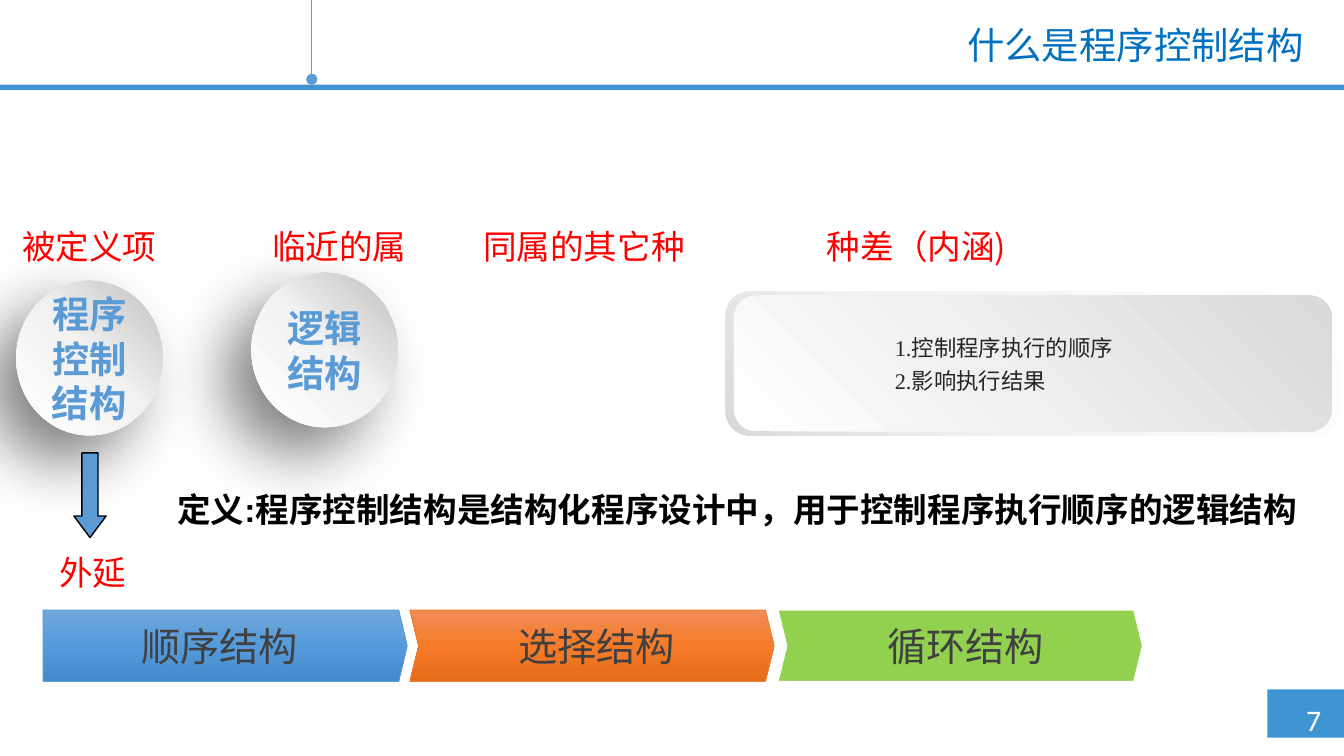
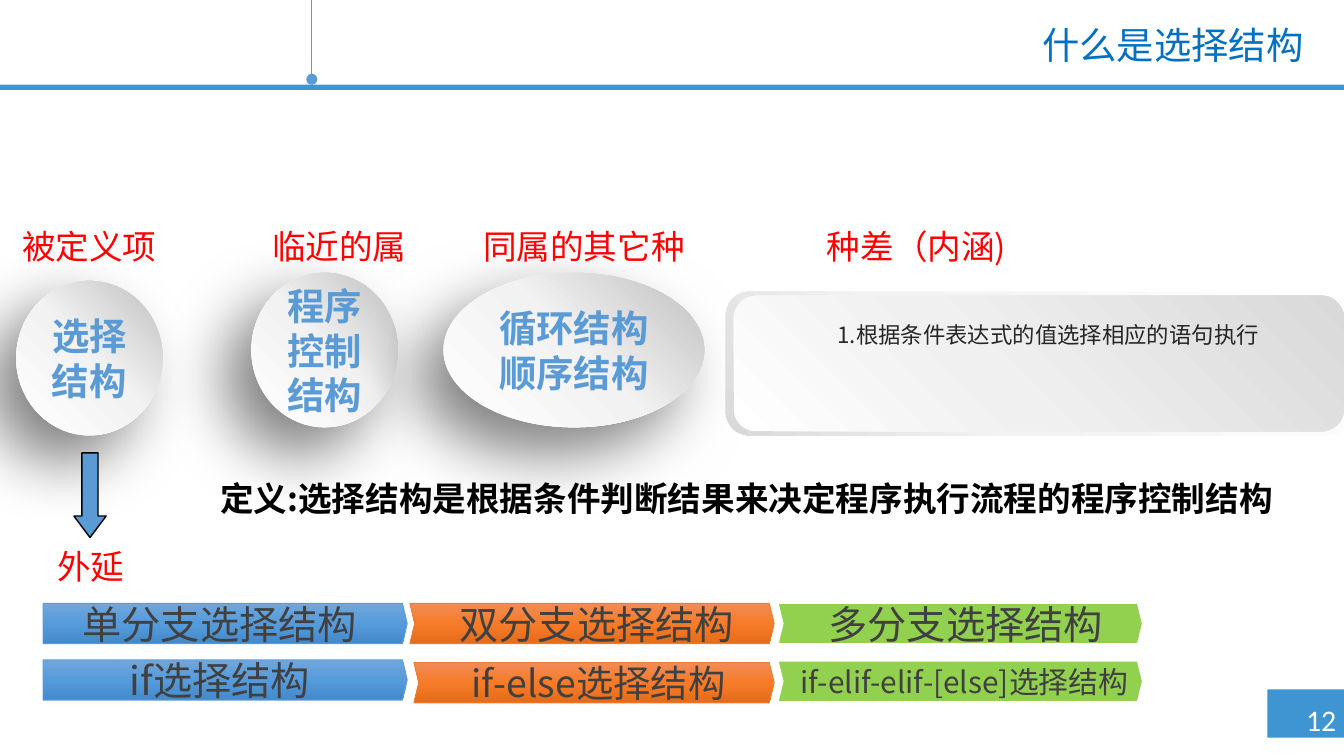
from dataclasses import dataclass

from lxml import etree
from pptx import Presentation
from pptx import util as u
from pptx.dml.color import RGBColor
from pptx.enum import shapes, text
from pptx.oxml import ns

PX = 9144
LEFT, CENTER, RIGHT = text.PP_ALIGN.LEFT, text.PP_ALIGN.CENTER, text.PP_ALIGN.RIGHT
TOP, MIDDLE = text.MSO_ANCHOR.TOP, text.MSO_ANCHOR.MIDDLE
KIND = shapes.MSO_SHAPE


@dataclass(frozen=True)
class Theme:
    band: str = "3F95D2"
    accent: str = "5B9BD5"
    title: str = "0070C0"
    heading: str = "FF0000"
    ink: str = "000000"
    note: str = "262626"
    label: str = "404040"
    paper: str = "FFFFFF"
    orange: str = "ED7D31"
    green: str = "92D050"
    bubble: tuple = ((0, "FFFFFF"), (51, "F2F2F2"), (100, "BFBFBF"))
    card_edge: tuple = ((0, "FFFFFF"), (62, "F2F2F2"), (100, "D9D9D9"))
    card_face: tuple = ((0, "FFFFFF"), (42, "F0F0F0"), (100, "D9D9D9"))
    blue_fade: tuple = ((0, "71A6DB"), (50, "559BDB"), (100, "448ACA"))
    orange_fade: tuple = ((0, "F18C57"), (50, "F67B28"), (100, "E56C19"))
    cjk: str = "Noto Sans CJK SC"
    latin: str = "Calibri"
    title_size: int = 20
    heading_size: int = 18
    bubble_size: int = 20
    note_size: int = 12
    label_size: int = 21
    page_size: int = 16


T = Theme()


@dataclass(frozen=True)
class Stage:
    label: str
    size: int = T.label_size
    nudge: tuple = (0, 0)
    pads: tuple = ()


PLATES = (
    (0, KIND.PENTAGON, 0.119, T.blue_fade, T.accent, (12, 20)),
    (273, KIND.CHEVRON, 0.122, T.orange_fade, T.orange, (31, 24)),
    (547, KIND.CHEVRON, 0.122, T.green, T.paper, (31, 23)),
)
HEADINGS = (("被定义项", -35, 203), ("临近的属", 141, 223),
            ("同属的其它种", 323, 223), ("种差（内涵)", 585, 194))


def px(*lengths):
    return [u.Emu(round(length * PX)) for length in lengths]


def apply(target, **values):
    for name, value in values.items():
        setattr(target, name, value)


def write(frame, lines, size, color, font=T.cjk, bold=False, align=CENTER, spacing=None):
    for index, line in enumerate(lines):
        paragraph = frame.paragraphs[0] if index == 0 else frame.add_paragraph()
        apply(paragraph, alignment=align, line_spacing=spacing)
        run = paragraph.add_run()
        run.text = line
        apply(run.font, size=u.Pt(size), bold=bold, name=font)
        run.font.color.rgb = RGBColor.from_string(color)
        etree.SubElement(run._r.get_or_add_rPr(), ns.qn("a:ea"), typeface=T.cjk)


def add_text(parent, box, lines, size, color, anchor=TOP, inset=None, **style):
    frame = parent.add_textbox(*px(*box)).text_frame
    apply(frame, word_wrap=True, vertical_anchor=anchor)
    if inset is not None:
        sides = ("left", "top", "right", "bottom")
        apply(frame, **{f"margin_{side}": px(inset)[0] for side in sides})
    write(frame, lines, size, color, **style)


def fade(shape, stops, angle):
    shape.fill.gradient()
    gradient = shape._element.spPr.find(ns.qn("a:gradFill"))
    stop_list = gradient.find(ns.qn("a:gsLst"))
    del stop_list[:]
    for position, color in stops:
        stop = etree.SubElement(stop_list, ns.qn("a:gs"), pos=str(position * 1000))
        etree.SubElement(stop, ns.qn("a:srgbClr"), val=color)
    gradient.find(ns.qn("a:lin")).set("ang", str(angle * 60000))


def add_form(parent, kind, box, fill, angle=90, line=None, width=0.5, adjust=()):
    form = parent.add_shape(kind, *px(*box))
    form.shadow.inherit = False
    for index, value in enumerate(adjust):
        form.adjustments[index] = value
    if isinstance(fill, tuple):
        fade(form, fill, angle)
    else:
        form.fill.solid()
        form.fill.fore_color.rgb = RGBColor.from_string(fill)
    if line:
        form.line.color.rgb = RGBColor.from_string(line)
        form.line.width = u.Pt(width)
    else:
        form.line.fill.background()
    return form


def add_frame(slide, title, page):
    canvas = slide.shapes
    add_form(canvas, KIND.RECTANGLE, (943, 513, 57, 36), T.band)
    add_form(canvas, KIND.RECTANGLE, (0, 63, 1000, 4), T.band)
    add_text(canvas, (962, 517, 52, 37), [page], T.page_size, T.paper,
             font=T.latin, align=LEFT)
    pendant = canvas.add_connector(shapes.MSO_CONNECTOR.STRAIGHT, *px(232, 0, 232, 59))
    pendant.line.color.rgb = RGBColor.from_string(T.accent)
    pendant.line.width = u.Pt(0.75)
    etree.SubElement(pendant.line._get_or_add_ln(), ns.qn("a:tailEnd"), type="oval")
    etree.SubElement(pendant._element.spPr, ns.qn("a:effectLst"))
    add_text(canvas, (240, 15, 740, 40), [title], T.title_size, T.title,
             anchor=MIDDLE, align=RIGHT, spacing=0.9)


def add_headings(slide, top):
    for heading, left, width in HEADINGS:
        add_text(slide.shapes, (left, top, width, 40), [heading],
                 T.heading_size, T.heading)


def add_bubble(slide, box, lines):
    bubble = add_form(slide.shapes, KIND.OVAL, box, T.bubble, 315)
    effects = bubble._element.spPr.find(ns.qn("a:effectLst"))
    shadow = etree.SubElement(effects, ns.qn("a:outerShdw"), blurRad=str(u.Pt(35)),
                              dist=str(u.Pt(20)), dir=str(135 * 60000),
                              algn="tr", rotWithShape="0")
    color = etree.SubElement(shadow, ns.qn("a:srgbClr"), val=T.ink)
    etree.SubElement(color, ns.qn("a:alpha"), val="50000")
    apply(bubble.text_frame, word_wrap=True, vertical_anchor=MIDDLE)
    write(bubble.text_frame, lines, T.bubble_size, T.accent, bold=True)


def add_card(slide, box, note_box, notes, **style):
    left, top, width, height = box
    card = slide.shapes.add_group_shape().shapes
    add_form(card, KIND.ROUNDED_RECTANGLE, box, T.card_edge, 135)
    face = (left + 6, top + 3, width - 11, height - 6)
    add_form(card, KIND.ROUNDED_RECTANGLE, face, T.card_face, 315)
    dx, dy, note_width = note_box
    add_text(slide.shapes, (left + dx, top + dy, note_width, 59), notes,
             T.note_size, T.note, spacing=1.2, **style)


def add_extension(slide, label_box):
    add_form(slide.shapes, KIND.DOWN_ARROW, (55, 337, 24, 63), T.accent,
             line=T.ink, width=0.75, adjust=(0.5, 0.665))
    add_text(slide.shapes, label_box, ["外延"], T.heading_size, T.heading)


def add_stages(slide, left, top, height, stages):
    width, label_height = 271, 35
    for plate, stage in zip(PLATES, stages):
        offset, kind, point, fill, line, pads = plate
        dx, dy = stage.nudge
        x, y, w = left + offset + dx, top + dy, width - dx
        group = slide.shapes.add_group_shape().shapes
        add_form(group, kind, (x, y, w, height), fill, line=line, adjust=(point,))
        before, after = stage.pads or pads
        label_box = (x + before, y + (height - label_height) / 2,
                     w - before - after, label_height)
        add_text(group, label_box, [stage.label], stage.size, T.label,
                 anchor=MIDDLE, inset=0)


def add_definition(slide, box, definition, font=T.cjk):
    add_text(slide.shapes, box, [definition], T.heading_size, T.ink,
             font=font, bold=True, align=LEFT)


def build_control(slide):
    add_frame(slide, "什么是程序控制结构", "7")
    add_bubble(slide, (12, 209, 109, 115), ["程序控制结构"])
    add_bubble(slide, (187, 203, 109, 115), ["逻辑结构"])
    add_headings(slide, 163)
    add_card(slide, (540, 217, 456, 107), (116, 23, 244),
             ["1.控制程序执行的顺序", "2.影响执行结果"],
             font="Times New Roman", align=LEFT)
    add_definition(slide, (122, 359, 882, 40),
                   "定义:程序控制结构是结构化程序设计中，用于控制程序执行顺序的逻辑结构",
                   "Arial")
    add_extension(slide, (32, 406, 74, 40))
    add_stages(slide, 32, 454, 53,
               [Stage("顺序结构"), Stage("选择结构"), Stage("循环结构")])


def build_selection(slide):
    add_frame(slide, "什么是选择结构", "12")
    add_bubble(slide, (12, 209, 109, 115), ["选择结构"])
    add_bubble(slide, (187, 203, 109, 115), ["程序控制结构"])
    add_bubble(slide, (330, 203, 194, 115), ["循环结构", "顺序结构"])
    add_headings(slide, 163)
    add_card(slide, (540, 217, 465, 107), (15, 13, 450),
             ["1.根据条件表达式的值选择相应的语句执行"])
    add_definition(slide, (154, 351, 832, 40),
                   "定义:选择结构是根据条件判断结果来决定程序执行流程的程序控制结构")
    add_extension(slide, (13, 401, 109, 40))
    add_stages(slide, 32, 449, 30,
               [Stage("单分支选择结构"), Stage("双分支选择结构"), Stage("多分支选择结构")])
    add_stages(slide, 32, 491, 30,
               [Stage("if选择结构"),
                Stage("if-else选择结构", 20, nudge=(3, 2)),
                Stage("if-elif-elif-[else]选择结构", 16, nudge=(0, 1), pads=(6, 0))])


def main():
    deck = Presentation()
    width, height = px(1000, 1000 * 9 / 16)
    apply(deck, slide_width=width, slide_height=height)
    for build in (build_control, build_selection):
        build(deck.slides.add_slide(deck.slide_layouts[6]))
    deck.save("out.pptx")


if __name__ == "__main__":
    main()
